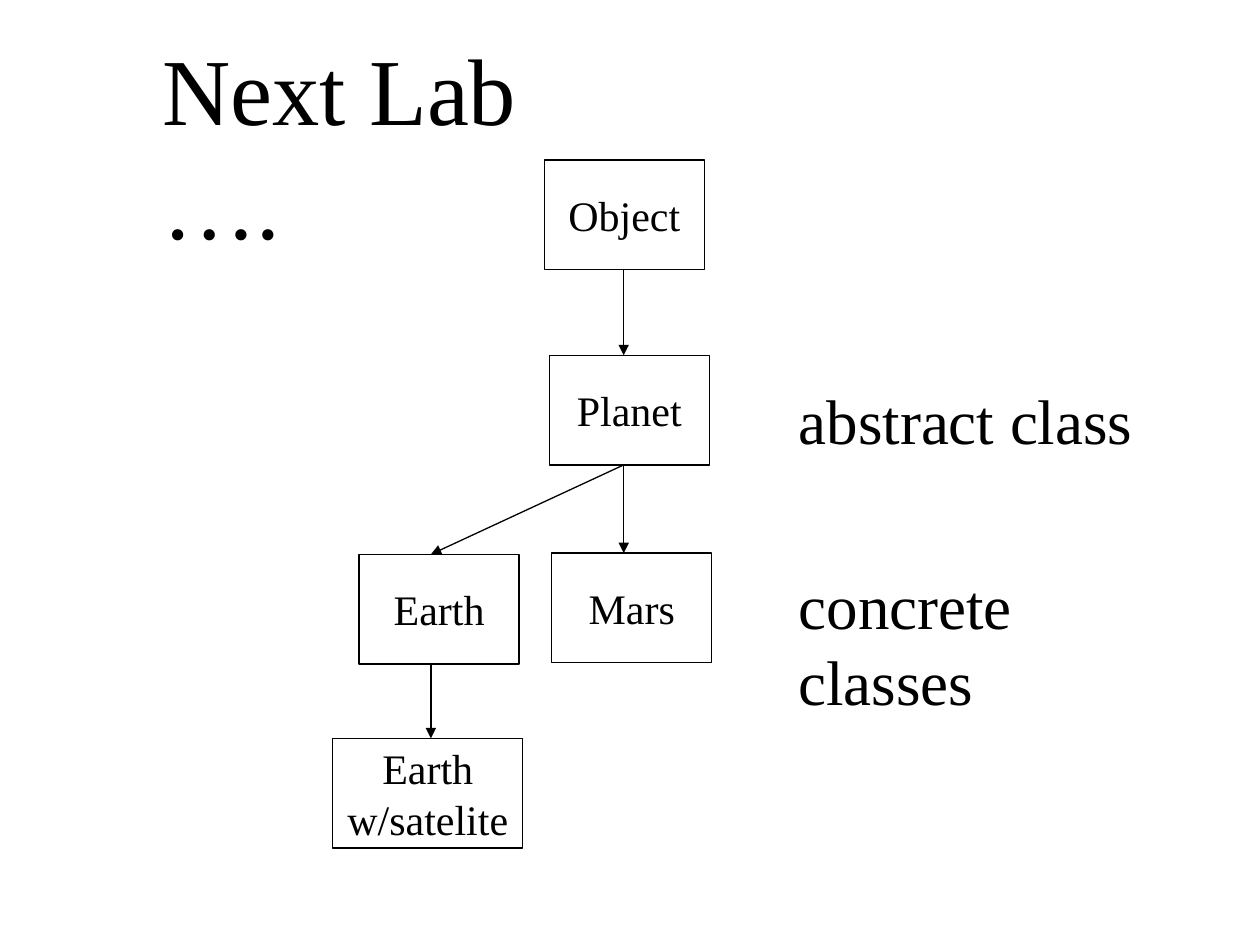
"""Build a slide showing the class tree for the next lab."""
from lxml.etree import SubElement as Sub
from pptx import Presentation
from pptx.dml.color import RGBColor as RGB
from pptx.enum.shapes import MSO_CONNECTOR as Conn, MSO_SHAPE as Shape
from pptx.enum.text import MSO_ANCHOR as Anchor, MSO_AUTO_SIZE as Fit, PP_ALIGN as Align
from pptx.oxml.ns import qn
from pptx.util import Inches, Pt

INK = {"black": "000000"}
FONT = "Times New Roman"
HIGH = 0.87
LABELS = [
    ("Next Lab ….", 1.19, 0.2, 4.13, 1, 54),
    ("abstract class", 6.24, 2.98, 2.85, 0.7, 36),
    ("concrete classes", 6.24, 4.45, 3.4, 0.7, 36),
]
NODES = {
    "Object": (4.32, 1.27, 1.27),
    "Planet": (4.36, 2.82, 1.27),
    "Mars": (4.38, 4.39, 1.27),
    "Earth": (2.85, 4.4, 1.27),
    "Earth\nw/satelite": (2.64, 5.86, 1.51),
}
TRUNK, BRANCH = 4.95, 3.42
LINKS = [
    ("Object", TRUNK, "Planet", TRUNK),
    ("Planet", TRUNK, "Mars", TRUNK),
    ("Planet", TRUNK, "Earth", BRANCH),
    ("Earth", BRANCH, "Earth\nw/satelite", BRANCH),
]


def write(shape, text, size, align):
    frame = shape.text_frame
    frame.text = text
    frame.word_wrap = False
    for para in frame.paragraphs:
        para.alignment = align
        for run in para.runs:
            run.font.name = FONT
            run.font.size = Pt(size)
            run.font.color.rgb = RGB.from_string(INK["black"])
    return frame


def ink(line):
    line.color.rgb = RGB.from_string(INK["black"])
    line.width = Pt(0.75)


def add_label(slide, text, left, top, wide, high, size):
    box = slide.shapes.add_textbox(*map(Inches, (left, top, wide, high)))
    write(box, text, size, Align.LEFT).auto_size = Fit.SHAPE_TO_FIT_TEXT


def add_node(slide, text, left, top, wide):
    box = slide.shapes.add_shape(Shape.RECTANGLE, *map(Inches, (left, top, wide, HIGH)))
    box.shadow.inherit = False
    box.fill.background()
    ink(box.line)
    write(box, text, 24, Align.CENTER).vertical_anchor = Anchor.MIDDLE


def add_link(slide, start, x1, end, x2):
    y1, y2 = NODES[start][1] + HIGH, NODES[end][1]
    link = slide.shapes.add_connector(Conn.STRAIGHT, *map(Inches, (x1, y1, x2, y2)))
    ink(link.line)
    props = link._element.spPr
    Sub(props.find(qn("a:ln")), qn("a:tailEnd"), type="triangle")
    Sub(props, qn("a:effectLst"))


def main():
    deck = Presentation()
    deck.slide_width, deck.slide_height = Inches(10), Inches(7.5)
    slide = deck.slides.add_slide(deck.slide_layouts[6])
    for label in LABELS:
        add_label(slide, *label)
    for text, place in NODES.items():
        add_node(slide, text, *place)
    for link in LINKS:
        add_link(slide, *link)
    deck.save("out.pptx")


if __name__ == "__main__":
    main()
